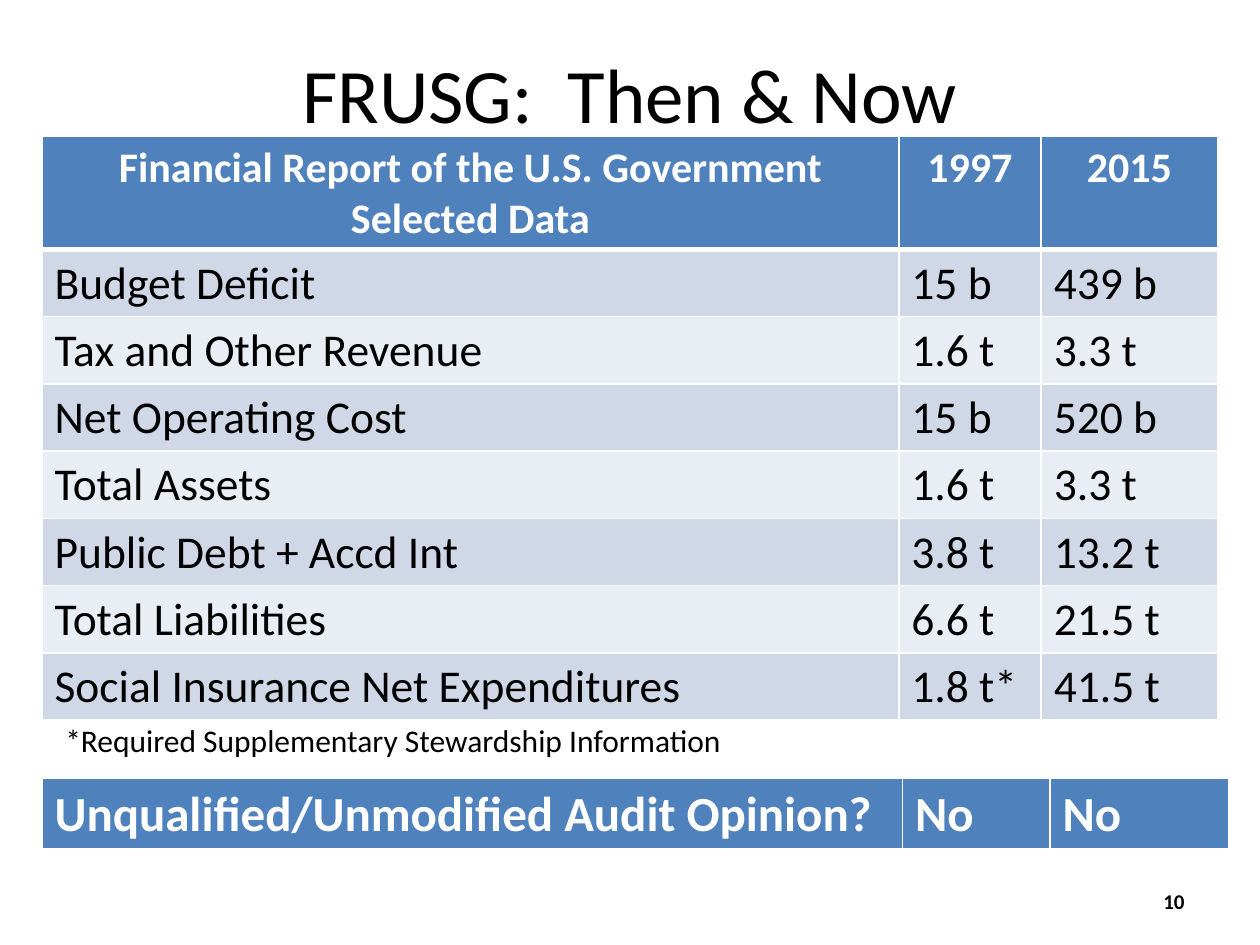
from dataclasses import dataclass

from lxml import etree
from pptx import Presentation
from pptx.dml.color import RGBColor
from pptx.enum.text import MSO_ANCHOR, PP_ALIGN
from pptx.oxml.ns import qn
from pptx.util import Inches, Pt

LEFT, CENTER, RIGHT = PP_ALIGN.LEFT, PP_ALIGN.CENTER, PP_ALIGN.RIGHT
TOP, MIDDLE = MSO_ANCHOR.TOP, MSO_ANCHOR.MIDDLE
WIDE, HIGH = 10, 7.5


@dataclass(frozen=True)
class Theme:
    """Colours, font and type sizes of the slide."""
    font: str = "Calibri"
    ink: str = "000000"
    white: str = "FFFFFF"
    blue: str = "4F81BD"
    bands: tuple = ("D0D8E8", "E9EDF4")
    title: int = 44
    head: int = 24
    body: int = 26
    audit: int = 28
    note: int = 18
    page: int = 12
    thin: int = 1
    thick: int = 3


THEME = Theme()
HEAD = ("Financial Report of the U.S. Government\nSelected Data", "1997", "2015")
ROWS = (
    ("Budget Deficit", "15 b", "439 b"),
    ("Tax and Other Revenue", "1.6 t", "3.3 t"),
    ("Net Operating Cost", "15 b", "520 b"),
    ("Total Assets", "1.6 t", "3.3 t"),
    ("Public Debt + Accd Int", "3.8 t", "13.2 t"),
    ("Total Liabilities", "6.6 t", "21.5 t"),
    ("Social Insurance Net Expenditures", "1.8 t*", "41.5 t"),
)
AUDIT = ("Unqualified/Unmodified Audit Opinion?", "No", "No")


def write(frame, text, size, color, bold=False, align=LEFT):
    """Fill a text frame and format its runs."""
    frame.text = text
    for para in frame.paragraphs:
        para.alignment = align
        for run in para.runs:
            run.font.name = THEME.font
            run.font.size = Pt(size)
            run.font.bold = bold
            run.font.color.rgb = RGBColor.from_string(color)


def add_text(slide, box, text, size, bold=False, align=LEFT, anchor=TOP):
    """Add a wrapped text box placed by shares of the slide."""
    x, y, w, h = box
    shape = slide.shapes.add_textbox(
        Inches(x * WIDE), Inches(y * HIGH), Inches(w * WIDE), Inches(h * HIGH))
    shape.text_frame.word_wrap = True
    shape.text_frame.vertical_anchor = anchor
    write(shape.text_frame, text, size, THEME.ink, bold, align)


def rule_cell(cell, base):
    """Draw white borders around a cell with a given bottom weight."""
    props = cell._tc.get_or_add_tcPr()
    for side, width in zip("LRTB", (THEME.thin,) * 3 + (base,)):
        line = etree.SubElement(props, qn("a:ln" + side), w=str(Pt(width)))
        fill = etree.SubElement(line, qn("a:solidFill"))
        etree.SubElement(fill, qn("a:srgbClr"), val=THEME.white)


def fill_row(table, index, texts, size, head=False, align=LEFT):
    """Write and paint one header or banded row."""
    color = THEME.white if head else THEME.ink
    paint = THEME.blue if head else THEME.bands[(index - 1) % 2]
    for cell, text in zip(table.rows[index].cells, texts):
        rule_cell(cell, THEME.thick if head else THEME.thin)
        cell.fill.solid()
        cell.fill.fore_color.rgb = RGBColor.from_string(paint)
        write(cell.text_frame, text, size, color, head, align)


def add_grid(slide, top, cols, rows, high):
    """Add an empty table with given column widths and row heights."""
    frame = slide.shapes.add_table(
        len(rows), len(cols), Inches(WIDE / 30), Inches(top),
        Inches(sum(cols)), Inches(high))
    for col, width in zip(frame.table.columns, cols):
        col.width = Inches(width)
    for row, height in zip(frame.table.rows, rows):
        row.height = Inches(height)
    frame.height = Inches(high)
    return frame.table


def main():
    """Build and save the slide."""
    deck = Presentation()
    deck.slide_width, deck.slide_height = Inches(WIDE), Inches(HIGH)
    slide = deck.slides.add_slide(deck.slide_layouts[6])

    add_text(slide, (0.05, 0.04, 0.9, 0.116), "FRUSG:  Then & Now",
             THEME.title, align=CENTER, anchor=MIDDLE)

    unit = 0.41
    data = add_grid(slide, 1.08, (6.8, 1.13, 1.4),
                    (2 * unit,) + (unit,) * len(ROWS), 4.63)
    fill_row(data, 0, HEAD, THEME.head, True, CENTER)
    for index, texts in enumerate(ROWS, 1):
        fill_row(data, index, texts, THEME.body)

    add_text(slide, (0.717, 0.927, 0.233, 0.053), "10", THEME.page,
             True, RIGHT, MIDDLE)
    audit = add_grid(slide, 6.18, (6.83, 1.17, 1.42), (0.5,), 0.57)
    fill_row(audit, 0, AUDIT, THEME.audit, True)
    add_text(slide, (0.042, 0.756, 0.817, 0.053),
             "*Required Supplementary Stewardship Information", THEME.note)

    deck.save("out.pptx")


if __name__ == "__main__":
    main()
